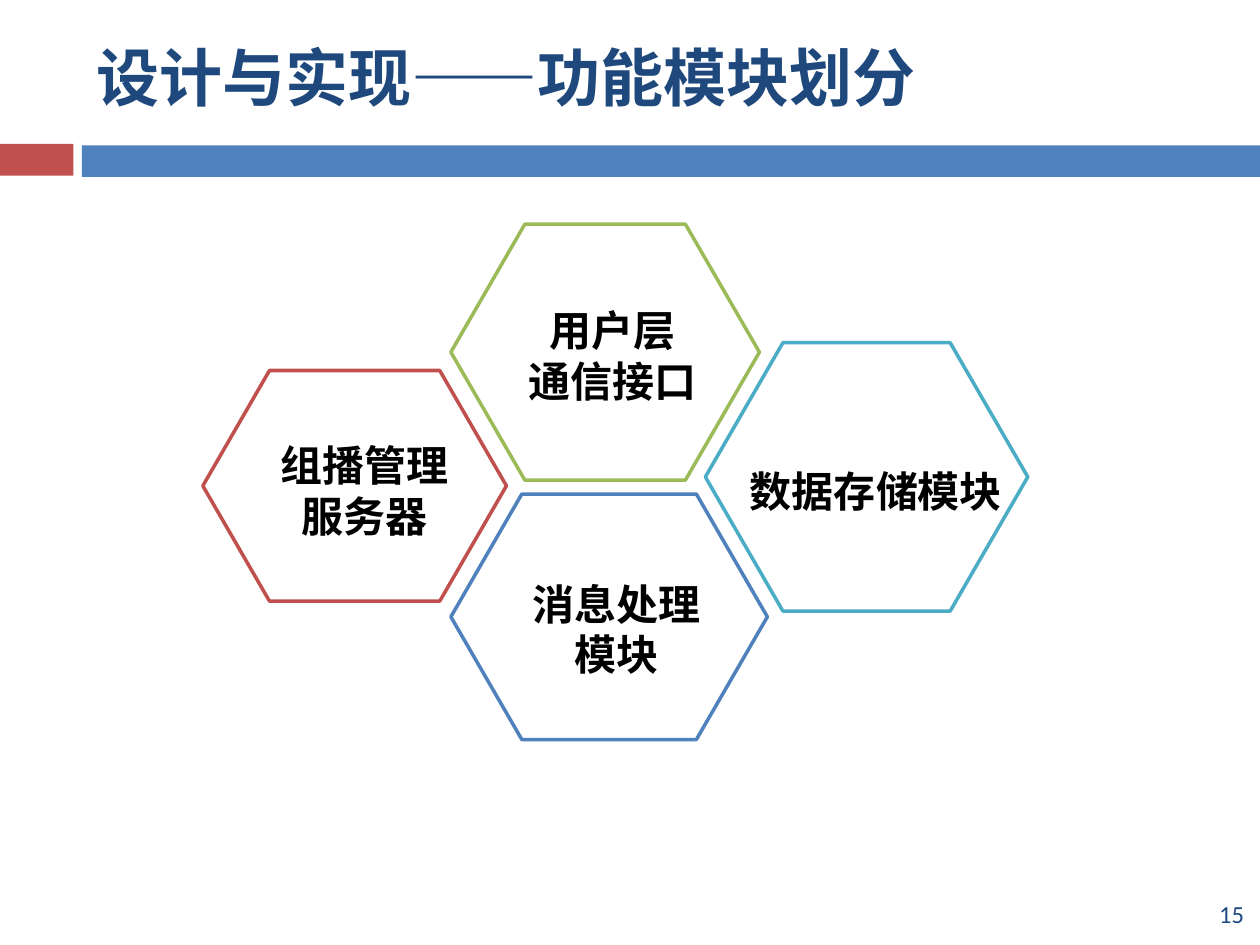
from dataclasses import dataclass

from pptx import Presentation
from pptx import util as u
from pptx.dml.color import RGBColor
from pptx.enum import shapes, text


@dataclass(frozen=True)
class Theme:
    navy: str = "1F497D"
    blue: str = "4F81BD"
    red: str = "C0504D"
    green: str = "9BBB59"
    aqua: str = "4BACC6"
    white: str = "FFFFFF"
    black: str = "000000"
    heading_font: str = "Calibri"
    label_font: str = "Arial"
    title_size: int = 36
    label_size: int = 24
    number_size: int = 14
    outline: int = 2


T = Theme()


def cm(*values):
    return [u.Cm(v) for v in values]


def add_run(p, words, font, size, color, bold=False):
    r = p.add_run()
    r.text = words
    r.font.name = font
    r.font.size = u.Pt(size)
    r.font.bold = bold
    r.font.color.rgb = RGBColor.from_string(color)


def add_block(slide, kind, box, fill, line=None):
    sp = slide.shapes.add_shape(kind, *cm(*box))
    sp.shadow.inherit = False
    sp.fill.solid()
    sp.fill.fore_color.rgb = RGBColor.from_string(fill)
    if line:
        sp.line.color.rgb = RGBColor.from_string(line)
        sp.line.width = u.Pt(T.outline)
    else:
        sp.line.fill.background()
    return sp


def add_title(slide, box, words):
    title = slide.shapes.title
    title.left, title.top, title.width, title.height = cm(*box)
    tf = title.text_frame
    tf.vertical_anchor = text.MSO_ANCHOR.MIDDLE
    p = tf.paragraphs[0]
    p.alignment = text.PP_ALIGN.LEFT
    add_run(p, words, T.heading_font, T.title_size, T.navy, bold=True)


def add_band(slide, box):
    """Red tab on the left, then a blue bar over the rest of the width."""
    left, top, width, height = box
    tab, bar_start = 1.48, 1.65
    rect = shapes.MSO_SHAPE.RECTANGLE
    add_block(slide, rect, (left, top, tab, height), T.red)
    add_block(slide, rect, (left + bar_start, top + 0.03, width - bar_start, height), T.blue)


def add_module(slide, box, color, lines, label):
    """Outlined hexagon with a label placed relative to its top left corner."""
    hexagon = add_block(slide, shapes.MSO_SHAPE.HEXAGON, box, T.white, color)
    hexagon.adjustments[0] = 0.289

    dx, dy, width, height = label
    sp = slide.shapes.add_textbox(*cm(box[0] + dx, box[1] + dy, width, height))
    tf = sp.text_frame
    tf.word_wrap = False
    tf.auto_size = text.MSO_AUTO_SIZE.SHAPE_TO_FIT_TEXT
    for i, words in enumerate(lines):
        p = tf.add_paragraph() if i else tf.paragraphs[0]
        p.alignment = text.PP_ALIGN.CENTER
        add_run(p, words, T.label_font, T.label_size, T.black, bold=True)


def add_page_number(slide, box, number):
    tf = slide.shapes.add_textbox(*cm(*box)).text_frame
    tf.word_wrap = True
    tf.vertical_anchor = text.MSO_ANCHOR.MIDDLE
    p = tf.paragraphs[0]
    p.alignment = text.PP_ALIGN.RIGHT
    add_run(p, number, T.heading_font, T.number_size, T.navy)


# Hexagon box, outline colour, label lines, label box within the hexagon (cm)
MODULES = [
    ((9.09, 4.52, 6.22, 5.16), T.green, ["用户层", "通信接口"], (1.27, 1.5, 3.96, 2.31)),
    ((4.09, 7.47, 6.12, 4.65), T.red, ["组播管理", "服务器"], (1.27, 1.27, 3.96, 2.31)),
    ((14.22, 6.91, 6.5, 5.41), T.aqua, ["数据存储模块"], (0.61, 2.34, 5.66, 1.3)),
    ((9.09, 9.96, 6.38, 4.95), T.blue, ["消息处理", "模块"], (1.19, 1.57, 4.29, 2.31)),
]


def main():
    prs = Presentation()
    prs.slide_width, prs.slide_height = cm(25.4, 19.05)
    slide = prs.slides.add_slide(prs.slide_layouts[5])

    # Heading
    add_band(slide, (0, 2.9, 25.4, 0.64))
    add_title(slide, (1.7, 0.53, 20.02, 2.01), "设计与实现——功能模块划分")

    # Honeycomb of modules
    for box, color, lines, label in MODULES:
        add_module(slide, box, color, lines, label)

    # Footer
    add_page_number(slide, (17.91, 17.91, 7.42, 1.02), "15")

    prs.save("out.pptx")


if __name__ == "__main__":
    main()
